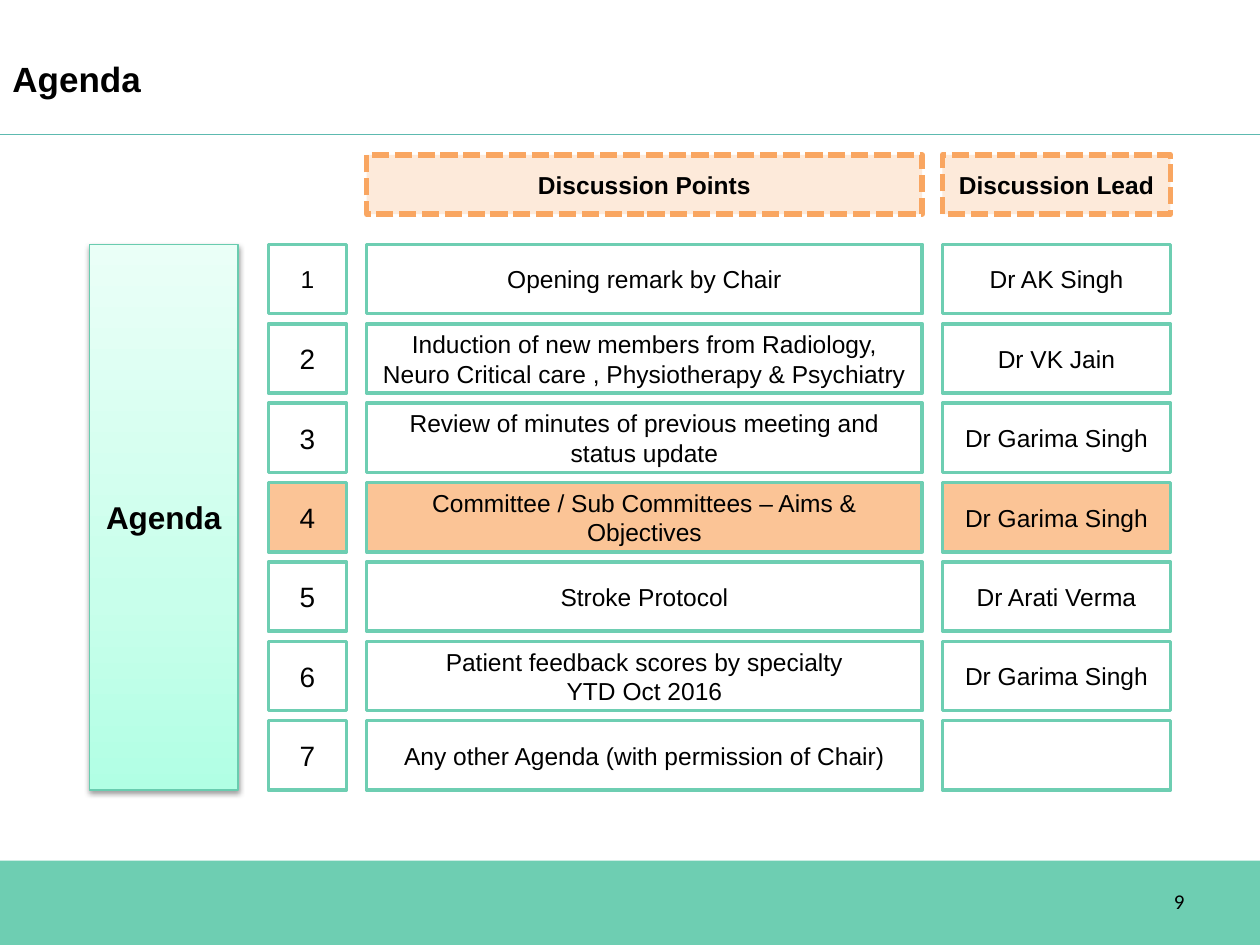
from copy import deepcopy
from dataclasses import dataclass

from lxml import etree
from pptx import Presentation
from pptx.dml.color import RGBColor
from pptx.enum.dml import MSO_LINE
from pptx.enum.shapes import MSO_CONNECTOR, MSO_SHAPE
from pptx.enum.text import MSO_ANCHOR, PP_ALIGN
from pptx.oxml.ns import qn
from pptx.util import Inches, Pt

RECTANGLE, STRAIGHT = MSO_SHAPE.RECTANGLE, MSO_CONNECTOR.STRAIGHT
LEFT, CENTER, RIGHT = PP_ALIGN.LEFT, PP_ALIGN.CENTER, PP_ALIGN.RIGHT
MIDDLE, DASHED = MSO_ANCHOR.MIDDLE, MSO_LINE.SQUARE_DOT

SLIDE_WIDTH, SLIDE_HEIGHT = 10, 7.5


@dataclass(frozen=True)
class Theme:
    font: str = "Arial"
    number_font: str = "Calibri"
    text: str = "000000"
    white: str = "FFFFFF"
    green: str = "6ECEB2"
    rule: str = "5DBAB0"
    panel_line: str = "69CCAF"
    panel_stops: tuple = ((0, "B1FFE4"), (0.35, "C8FFEB"), (1, "EAFFF7"))
    heading_fill: str = "FDEADA"
    heading_line: str = "F9A661"
    highlight: str = "FBC496"
    title_size: int = 20
    panel_size: int = 18
    number_size: int = 16
    body_size: int = 14
    page_number_size: int = 12


THEME = Theme()

# Board columns as (offset, width), and the row rhythm, in inches
PANEL, NUMBER, POINT, LEAD = (0, 1.18), (1.42, 0.62), (2.2, 4.41), (6.77, 1.81)
HEADING_HEIGHT, FIRST_ROW, ROW_HEIGHT, ROW_PITCH = 0.47, 0.71, 0.55, 0.63
CELL_INSETS = (0.08, 0.04)

HIGHLIGHTED = 4
AGENDA = [
    ("Opening remark by Chair", "Dr AK Singh"),
    ("Induction of new members from Radiology, "
     "Neuro Critical care , Physiotherapy & Psychiatry", "Dr VK Jain"),
    ("Review of minutes of previous meeting and status update", "Dr Garima Singh"),
    ("Committee / Sub Committees – Aims & Objectives", "Dr Garima Singh"),
    ("Stroke Protocol", "Dr Arati Verma"),
    ("Patient feedback scores by specialty\nYTD Oct 2016", "Dr Garima Singh"),
    ("Any other Agenda (with permission of Chair)", ""),
]


def color(value):
    return RGBColor.from_string(value)


def write(box, text, size=THEME.body_size, font=THEME.font, bold=False,
          align=CENTER, insets=(0.1, 0.05)):
    """Fill a box with text, one paragraph for each line."""
    frame = box.text_frame
    frame.word_wrap = True
    frame.vertical_anchor = MIDDLE
    frame.margin_left = frame.margin_right = Inches(insets[0])
    frame.margin_top = frame.margin_bottom = Inches(insets[1])
    for index, line in enumerate(text.split("\n")):
        para = frame.add_paragraph() if index else frame.paragraphs[0]
        para.alignment = align
        span = para.add_run()
        span.text = line
        span.font.name, span.font.size, span.font.bold = font, Pt(size), bold
        span.font.color.rgb = color(THEME.text)


def add_label(page, area, text, **style):
    box = page.shapes.add_textbox(*map(Inches, area))
    write(box, text, **style)


def add_box(page, area, fill, line=None, width=2):
    box = page.shapes.add_shape(RECTANGLE, *map(Inches, area))
    box.shadow.inherit = False
    box.fill.solid()
    box.fill.fore_color.rgb = color(fill)
    if line:
        box.line.color.rgb = color(line)
        box.line.width = Pt(width)
    else:
        box.line.fill.background()
    return box


def set_gradient(box, stops):
    """Give a bottom-to-top gradient with three stops."""
    box.fill.gradient()
    box.fill.gradient_angle = 90
    first = box.fill.gradient_stops[0]
    stop_list = box.element.spPr.find(qn("a:gradFill")).find(qn("a:gsLst"))
    stop_list.insert(1, deepcopy(stop_list[0]))
    for stop, (position, value) in zip(box.fill.gradient_stops, stops):
        stop.position = position
        stop.color.rgb = color(value)


def set_shadow(box):
    effects = box.element.spPr.find(qn("a:effectLst"))
    shadow = etree.SubElement(effects, qn("a:outerShdw"), blurRad=str(Pt(3.1)),
                              dist=str(Pt(1.6)), dir="5400000", rotWithShape="0")
    shade = etree.SubElement(shadow, qn("a:srgbClr"), val="000000")
    etree.SubElement(shade, qn("a:alpha"), val="38000")


def build_header(page, left, top, width, height):
    add_label(page, (left, top, width * 0.9, height), "Agenda",
              size=THEME.title_size, bold=True, align=LEFT)
    bottom = top + height - 0.01
    rule = page.shapes.add_connector(
        STRAIGHT, *map(Inches, (left, bottom, left + width, bottom)))
    rule.line.color.rgb = color(THEME.rule)
    rule.line.width = Pt(0.75)
    etree.SubElement(rule.element.spPr, qn("a:effectLst"))


def build_footer(page, left, top, width, height):
    add_box(page, (left, top, width, height), THEME.green)
    add_label(page, (left + 7.17, top + 0.12, 2.33, 0.4), "9",
              size=THEME.page_number_size, font=THEME.number_font, align=RIGHT)


def build_board(page, left, top):
    """Place the side panel, the headings and the agenda grid."""
    def cell_area(column, row_top, height):
        return left + column[0], top + row_top, column[1], height

    grid_height = (len(AGENDA) - 1) * ROW_PITCH + ROW_HEIGHT
    panel = add_box(page, cell_area(PANEL, FIRST_ROW, grid_height),
                    THEME.white, THEME.panel_line, 0.75)
    set_gradient(panel, THEME.panel_stops)
    set_shadow(panel)
    write(panel, "Agenda", size=THEME.panel_size, bold=True)

    for column, text in ((POINT, "Discussion Points"), (LEAD, "Discussion Lead")):
        heading = add_box(page, cell_area(column, 0, HEADING_HEIGHT),
                          THEME.heading_fill, THEME.heading_line, 3.25)
        heading.line.dash_style = DASHED
        write(heading, text, bold=True, insets=CELL_INSETS)

    for number, (point, lead) in enumerate(AGENDA, 1):
        row_top = FIRST_ROW + (number - 1) * ROW_PITCH
        fill = THEME.highlight if number == HIGHLIGHTED else THEME.white
        number_size = THEME.body_size if number == 1 else THEME.number_size
        for column, text, size, insets in (
            (POINT, point, THEME.body_size, CELL_INSETS),
            (NUMBER, str(number), number_size, (0, 0)),
            (LEAD, lead, THEME.body_size, CELL_INSETS),
        ):
            box = add_box(page, cell_area(column, row_top, ROW_HEIGHT),
                          fill, THEME.green)
            if text:
                write(box, text, size=size, insets=insets)


def main():
    deck = Presentation()
    deck.slide_width, deck.slide_height = Inches(SLIDE_WIDTH), Inches(SLIDE_HEIGHT)
    page = deck.slides.add_slide(deck.slide_layouts[6])
    build_footer(page, 0, 6.83, SLIDE_WIDTH, 0.67)
    build_header(page, 0, 0.16, SLIDE_WIDTH, 0.92)
    build_board(page, 0.71, 1.23)
    deck.save("out.pptx")


if __name__ == "__main__":
    main()
